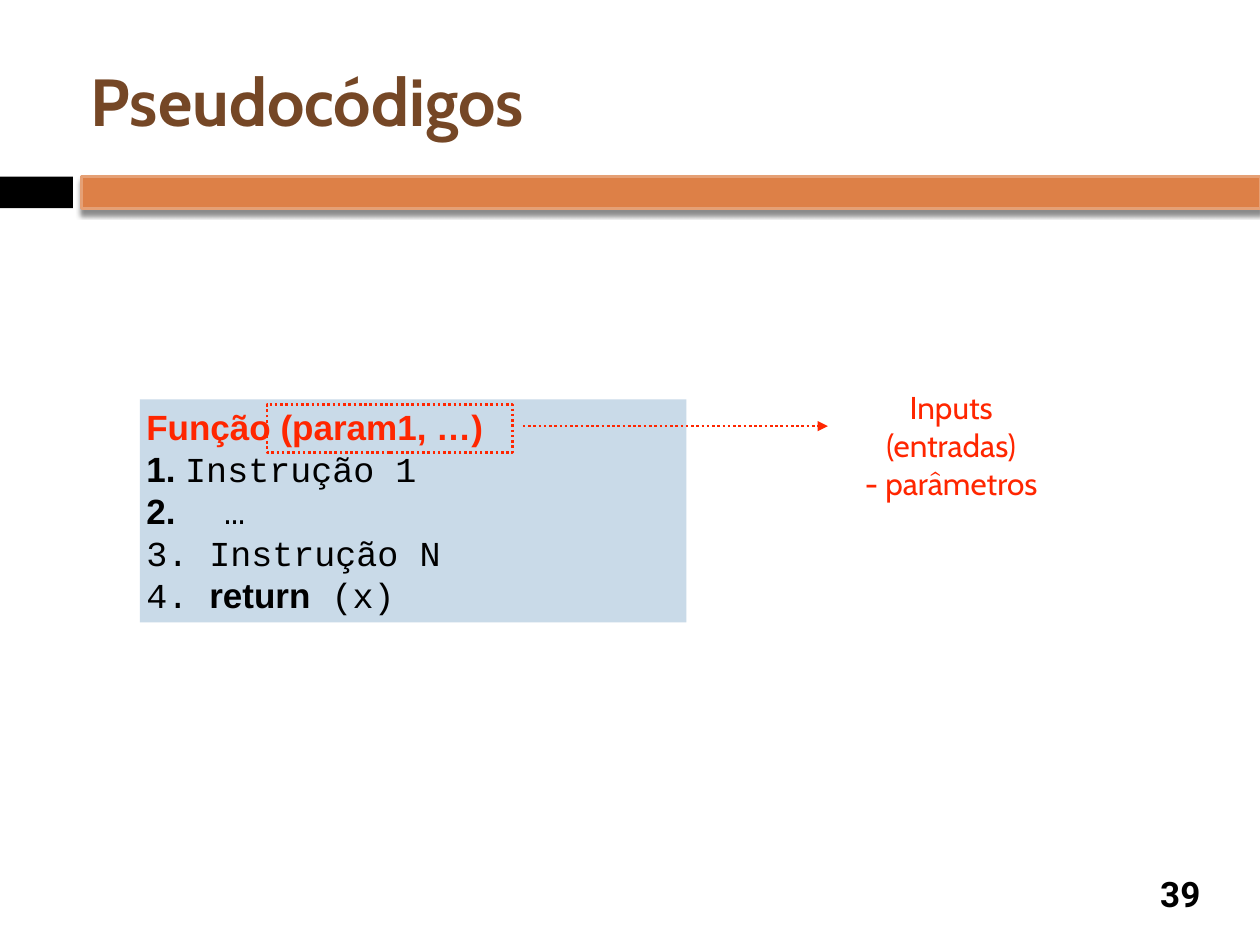
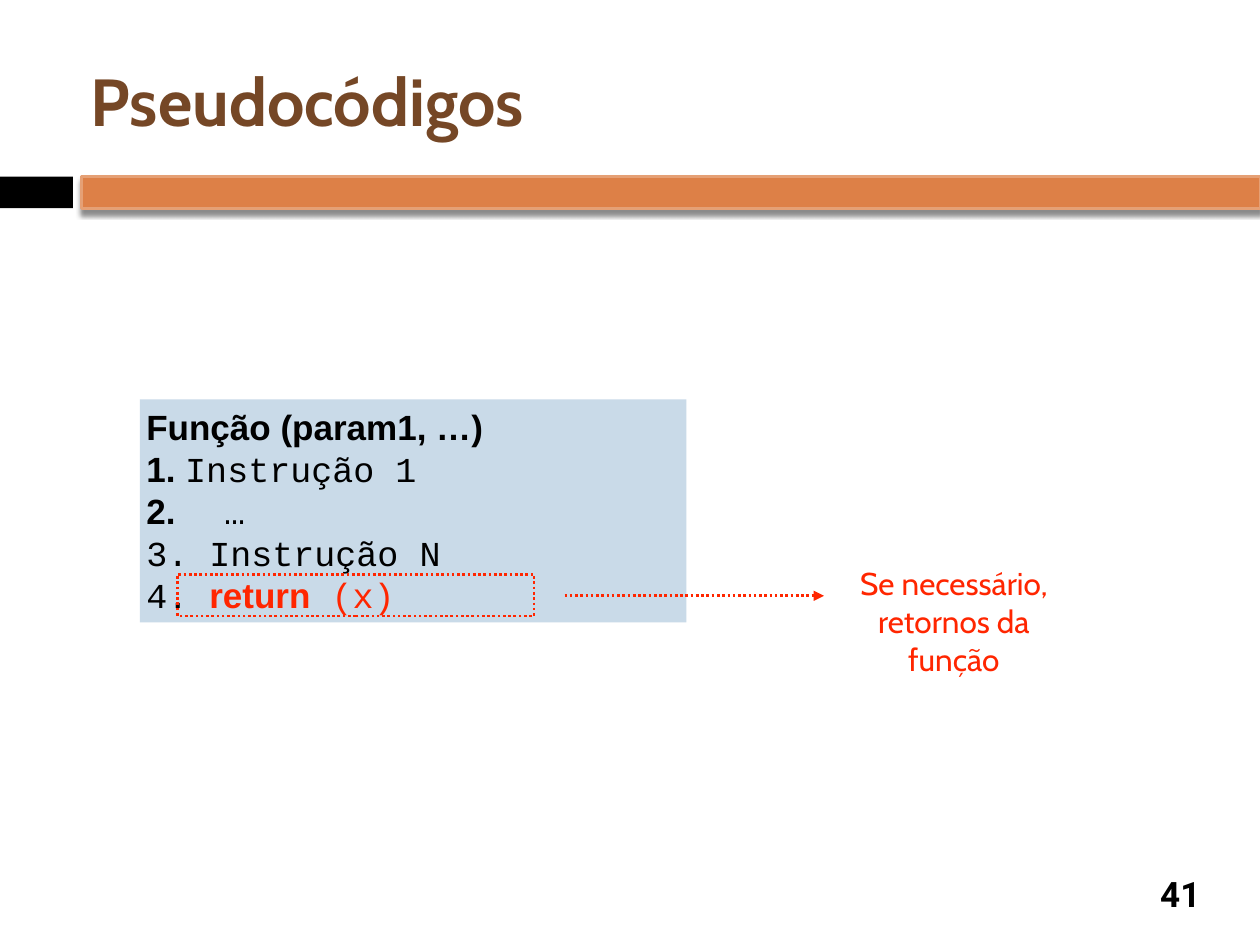
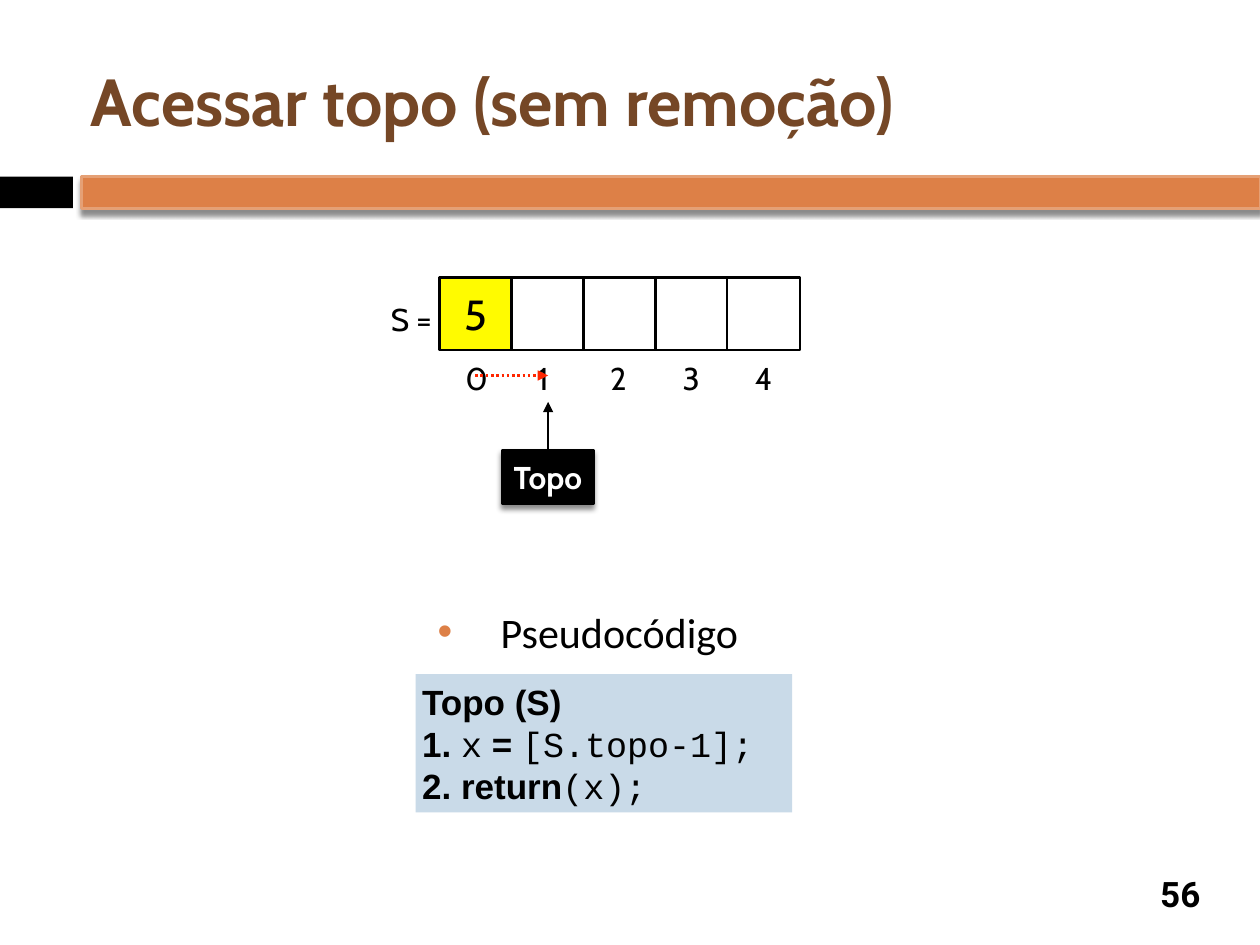
from dataclasses import dataclass

from lxml.etree import SubElement
from pptx import Presentation
from pptx.dml.color import RGBColor
from pptx.enum.dml import MSO_LINE_DASH_STYLE as Dash
from pptx.enum.shapes import MSO_CONNECTOR as Connector, MSO_SHAPE as Shape
from pptx.enum.text import MSO_ANCHOR as Anchor, MSO_AUTO_SIZE as AutoSize, PP_ALIGN as Align
from pptx.oxml.ns import qn
from pptx.util import Cm, Pt


@dataclass(frozen=True)
class Theme:
    black: str = "000000"
    white: str = "FFFFFF"
    orange: str = "DD8047"
    orange_edge: str = "E5A075"
    brown: str = "754726"
    red: str = "FF2600"
    yellow: str = "FFFB00"
    code_fill: str = "C9DAE8"
    display: str = "Cabin"
    sans: str = "Arial"
    mono: str = "Courier New"
    list_font: str = "Calibri"
    number_font: str = "Roboto"
    title_size: int = 38
    large_size: int = 24
    code_size: int = 20
    label_size: int = 18
    line_width: float = 1.5


THEME = Theme()

# Code runs are (text, font, colour); sans runs are bold keywords
def keyword(text, color=THEME.black):
    return text, THEME.sans, color


def code(text, color=THEME.black):
    return text, THEME.mono, color


def function_template(header_color, return_color):
    return [
        [keyword("Função (param1, …)", header_color)],
        [keyword(" "), code("Instrução 1")],
        [keyword("     "), code("…")],
        [code(" Instrução N")],
        [code(" "), keyword("return", return_color), code(" (x)", return_color)],
    ]


# Content: boxes are (left, top, width, height) in centimetres
FUNCTION_SLIDES = [
    {
        "title": "Pseudocódigos",
        "number": "39",
        "code": function_template(THEME.red, THEME.black),
        "note": ["Inputs (entradas)", "- parâmetros"],
        "note_box": (16.94, 7.7, 4.47, 1.6),
        "arrow": (10.54, 8.59, 16.69, 8.59),
        "highlight": (5.38, 8.15, 4.95, 0.97),
    },
    {
        "title": "Pseudocódigos",
        "number": "41",
        "code": function_template(THEME.black, THEME.red),
        "note": ["Se necessário,", "retornos da função"],
        "note_box": (16.69, 11.25, 5.08, 1.6),
        "arrow": (11.38, 12.01, 16.61, 12.01),
        "highlight": (3.58, 11.58, 7.19, 0.84),
    },
]
STACK_SLIDE = {
    "title": "Acessar topo (sem remoção)",
    "number": "56",
    "name": "S =",
    "cells": ["5", "", "", "", ""],
    "pointer": "Topo",
    "list": "Pseudocódigo",
    "code": [
        [keyword("Topo (S)")],
        [keyword(" "), code("x"), keyword(" = "), code("[S.topo-1];")],
        [keyword(" return"), code("(x);")],
    ],
}

# Shared layout
TITLE_BOX = (1.7, 0.64, 22.66, 2.74)
NUMBER_BOX = (23.06, 17.5, 1.47, 1.04)
BLACK_BAND = (0, 3.56, 1.47, 0.64)
ORANGE_BAND = (1.65, 3.56, 23.75, 0.64)
FUNCTION_BOX = (2.82, 8.05, 11.02, 4.5)
INSET = 0.13


def rgb(color):
    return RGBColor.from_string(color)


def style_font(font, name, size, color, bold=False):
    font.name, font.size, font.bold = name, Pt(size), bold
    font.color.rgb = rgb(color)


def prepare_frame(frame, anchor=Anchor.TOP, wrap=True):
    frame.auto_size = AutoSize.NONE
    frame.word_wrap = wrap
    frame.vertical_anchor = anchor
    frame.margin_left = frame.margin_right = Cm(INSET)
    frame.margin_top = frame.margin_bottom = Cm(INSET)


def write(frame, lines, name, size, color, bold=False, align=Align.LEFT):
    for index, line in enumerate(lines):
        paragraph = frame.add_paragraph() if index else frame.paragraphs[0]
        paragraph.text = line
        paragraph.alignment = align
        style_font(paragraph.font, name, size, color, bold)


def add_text(slide, box, lines, name=THEME.display, size=THEME.label_size, color=THEME.black,
             bold=False, align=Align.CENTER, anchor=Anchor.TOP, wrap=True):
    frame = slide.shapes.add_textbox(*map(Cm, box)).text_frame
    prepare_frame(frame, anchor, wrap)
    write(frame, lines, name, size, color, bold, align)


def style_line(line, color, dotted=False):
    line.color.rgb = rgb(color)
    line.width = Pt(THEME.line_width)
    if dotted:
        line.dash_style = Dash.ROUND_DOT


def add_box(slide, box, fill=None, edge=None, dotted=False, shadow=False):
    shape = slide.shapes.add_shape(Shape.RECTANGLE, *map(Cm, box))
    shape.shadow.inherit = False
    if fill:
        shape.fill.solid()
        shape.fill.fore_color.rgb = rgb(fill)
    else:
        shape.fill.background()
    if edge:
        style_line(shape.line, edge, dotted)
    else:
        shape.line.fill.background()
    if shadow:
        effects = shape.element.spPr.find(qn("a:effectLst"))
        outer = SubElement(effects, qn("a:outerShdw"), blurRad=str(Pt(3)), dist=str(Pt(2.4)),
                           dir="5400000", rotWithShape="0")
        shade = SubElement(outer, qn("a:srgbClr"), val=THEME.black)
        SubElement(shade, qn("a:alpha"), val="45000")
    return shape


def add_arrow(slide, ends, color, dotted=False):
    connector = slide.shapes.add_connector(Connector.STRAIGHT, *map(Cm, ends))
    style_line(connector.line, color, dotted)
    SubElement(connector.line._get_or_add_ln(), qn("a:tailEnd"), type="triangle")
    SubElement(connector.element.spPr, qn("a:effectLst"))


def set_hanging(paragraph, indent):
    properties = paragraph._p.get_or_add_pPr()
    properties.set("marL", str(Cm(indent)))
    properties.set("indent", str(-Cm(indent)))
    return properties


def add_code(slide, box, lines):
    frame = add_box(slide, box, THEME.code_fill).text_frame
    prepare_frame(frame)
    for index, runs in enumerate(lines):
        paragraph = frame.add_paragraph() if index else frame.paragraphs[0]
        paragraph.alignment = Align.LEFT
        paragraph.line_spacing = Pt(24)
        if index:
            SubElement(set_hanging(paragraph, 0.58), qn("a:buAutoNum"), type="arabicPeriod")
        for text, name, color in runs:
            run = paragraph.add_run()
            run.text = text
            style_font(run.font, name, THEME.code_size, color, name == THEME.sans)


def place(placeholder, box):
    placeholder.left, placeholder.top, placeholder.width, placeholder.height = map(Cm, box)


def add_slide(presentation, layout, content):
    slide = presentation.slides.add_slide(presentation.slide_layouts.get_by_name(layout))
    add_box(slide, BLACK_BAND, THEME.black)
    add_box(slide, ORANGE_BAND, THEME.orange, THEME.orange_edge, shadow=True)
    add_text(slide, NUMBER_BOX, [content["number"]], THEME.number_font, THEME.code_size,
             bold=True, anchor=Anchor.MIDDLE)
    title = slide.shapes.title
    place(title, TITLE_BOX)
    prepare_frame(title.text_frame, Anchor.MIDDLE)
    write(title.text_frame, [content["title"]], THEME.display, THEME.title_size,
          THEME.brown, bold=True)
    return slide


def build_function_slide(presentation, content):
    slide = add_slide(presentation, "Title Only", content)
    add_code(slide, FUNCTION_BOX, content["code"])
    add_text(slide, content["note_box"], content["note"], color=THEME.red)
    add_arrow(slide, content["arrow"], THEME.red, dotted=True)
    add_box(slide, content["highlight"], edge=THEME.red, dotted=True)


def build_stack_slide(presentation, content):
    slide = add_slide(presentation, "Title and Content", content)

    # Pseudocode heading and listing
    body = slide.placeholders[1]
    place(body, (8.69, 12.09, 6.58, 1.75))
    prepare_frame(body.text_frame)
    paragraph = body.text_frame.paragraphs[0]
    paragraph.space_before = Pt(0)
    properties = set_hanging(paragraph, 1.27)
    bullet_color = SubElement(properties, qn("a:buClr"))
    SubElement(bullet_color, qn("a:srgbClr"), val=THEME.orange)
    SubElement(properties, qn("a:buFont"), typeface=THEME.sans)
    SubElement(properties, qn("a:buChar"), char="•")
    write(body.text_frame, [content["list"]], THEME.list_font, THEME.large_size, THEME.black)
    add_code(slide, (8.38, 13.59, 7.59, 2.79), content["code"])

    # Stack cells with their indices
    add_text(slide, (7.7, 5.92, 1.19, 0.91), [content["name"]], wrap=False)
    for index, value in enumerate(content["cells"]):
        cell = add_box(slide, (8.86 + 1.45 * index, 5.59, 1.47, 1.47),
                       THEME.yellow if value else THEME.white, THEME.black)
        if value:
            prepare_frame(cell.text_frame, Anchor.MIDDLE)
            write(cell.text_frame, [value], THEME.display, THEME.large_size, THEME.black,
                  align=Align.CENTER)
        add_text(slide, (9.25 + 1.46 * index, 7.11, 0.64, 0.91), [str(index)],
                 align=Align.LEFT, wrap=False)

    # Pointer to the top
    add_arrow(slide, (11.05, 9.25, 11.05, 8.1), THEME.black)
    pointer = add_box(slide, (10.13, 9.07, 1.83, 1.09), THEME.black, THEME.black, shadow=True)
    prepare_frame(pointer.text_frame, Anchor.MIDDLE)
    write(pointer.text_frame, [content["pointer"]], THEME.display, THEME.label_size,
          THEME.white, bold=True, align=Align.CENTER)
    add_arrow(slide, (9.58, 7.57, 11.05, 7.57), THEME.red, dotted=True)


def main():
    presentation = Presentation()
    presentation.slide_width, presentation.slide_height = Cm(25.4), Cm(19.05)
    for content in FUNCTION_SLIDES:
        build_function_slide(presentation, content)
    build_stack_slide(presentation, STACK_SLIDE)
    presentation.save("out.pptx")


if __name__ == "__main__":
    main()
